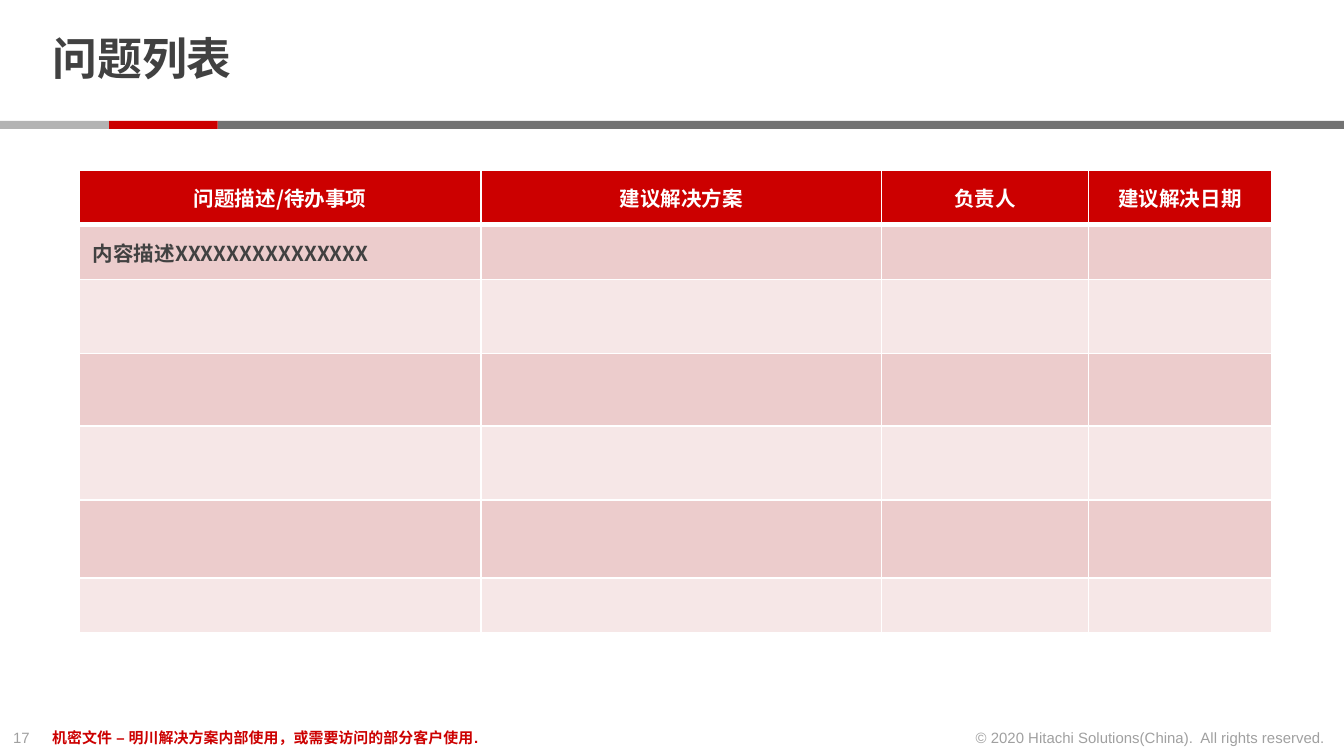
"""Build the issue list slide: title, divider bar, issue table and footer."""
from dataclasses import dataclass

from lxml.etree import SubElement
from pptx import Presentation
from pptx.dml.color import RGBColor
from pptx.enum.shapes import MSO_SHAPE
from pptx.enum.text import MSO_ANCHOR, MSO_AUTO_SIZE, PP_ALIGN
from pptx.oxml.ns import qn
from pptx.util import Inches, Pt

COLORS = {
    "white": "FFFFFF",
    "text": "414141",
    "muted": "A0A0A0",
    "red": "CC0000",
    "dark_gray": "737373",
    "light_gray": "B3B3B3",
    "odd_row": "ECCCCC",
    "even_row": "F6E7E7",
}
CJK_FONT = "Noto Sans CJK SC"
COLUMN_WIDTHS = [2.99, 2.98, 1.54, 1.36]
ROW_HEIGHTS = [0.4, 0.41, 0.55, 0.54, 0.55, 0.58, 0.41]
ISSUES = [
    ["问题描述/待办事项", "建议解决方案", "负责人", "建议解决日期"],
    ["内容描述XXXXXXXXXXXXXXX"],
]


@dataclass
class Band:
    left: float
    width: float
    color: str


@dataclass
class FooterNote:
    text: str
    left: float
    top: float
    width: float
    color: str
    align: PP_ALIGN = PP_ALIGN.LEFT
    bold: bool = False
    wrap: bool = False


BANDS = [
    Band(1.62, 8.38, "dark_gray"),
    Band(0.81, 0.81, "red"),
    Band(0, 0.81, "light_gray"),
]
FOOTER = [
    FooterNote("17", 0, 5.37, 0.34, "muted"),
    FooterNote("© 2020 Hitachi Solutions(China).  All rights reserved.",
               7.12, 5.37, 2.84, "muted", PP_ALIGN.RIGHT),
    FooterNote("机密文件 – 明川解决方案内部使用，或需要访问的部分客户使用.",
               0.29, 5.37, 6.74, "red", bold=True, wrap=True),
]


def rgb(color: str) -> RGBColor:
    """Look up a named colour."""
    return RGBColor.from_string(COLORS[color])


def style(paragraph, size: float, color: str, face: str = CJK_FONT,
          bold: bool = True, align: PP_ALIGN = PP_ALIGN.LEFT) -> None:
    """Format a whole paragraph, with its East Asian font."""
    paragraph.alignment = align
    font = paragraph.font
    font.size, font.bold, font.name = Pt(size), bold, face
    font.color.rgb = rgb(color)
    defaults = paragraph._p.pPr.find(qn("a:defRPr"))
    SubElement(defaults, qn("a:ea"), typeface=face)


def draw_band(slide, band: Band) -> None:
    """Draw one part of the divider bar."""
    bar = slide.shapes.add_shape(MSO_SHAPE.RECTANGLE, Inches(band.left), Inches(0.9),
                                 Inches(band.width), Inches(0.06))
    bar.shadow.inherit = False
    bar.fill.solid()
    bar.fill.fore_color.rgb = rgb(band.color)
    bar.line.fill.background()


def draw_footer_note(slide, note: FooterNote) -> None:
    """Write one footer text."""
    frame = slide.shapes.add_textbox(Inches(note.left), Inches(note.top),
                                     Inches(note.width), Inches(0.24)).text_frame
    frame.word_wrap = note.wrap
    frame.auto_size = MSO_AUTO_SIZE.SHAPE_TO_FIT_TEXT
    frame.text = note.text
    style(frame.paragraphs[0], 8, note.color, "Arial", note.bold, note.align)


def draw_title(slide, text: str) -> None:
    """Place and format the title placeholder."""
    title = slide.shapes.title
    title.left, title.top = Inches(0.29), Inches(0.06)
    title.width, title.height = Inches(7.71), Inches(0.8)
    frame = title.text_frame
    frame.text = text
    frame.auto_size = MSO_AUTO_SIZE.NONE
    frame.vertical_anchor = MSO_ANCHOR.MIDDLE
    frame.margin_top = frame.margin_bottom = 0
    frame.paragraphs[0].line_spacing = 0.85
    style(frame.paragraphs[0], 24, "text")


def draw_cell_borders(cell, top_width: float, bottom_width: float) -> None:
    """Give a cell white borders, placed before its fill."""
    properties = cell._tc.get_or_add_tcPr()
    widths = {"a:lnL": 1, "a:lnR": 1, "a:lnT": top_width, "a:lnB": bottom_width}
    for position, (side, width) in enumerate(widths.items()):
        border = SubElement(properties, qn(side), w=str(Pt(width)))
        fill = SubElement(border, qn("a:solidFill"))
        SubElement(fill, qn("a:srgbClr"), val=COLORS["white"])
        properties.insert(position, border)


def draw_issue_table(slide) -> None:
    """Draw the issue table with its header and alternating rows."""
    table = slide.shapes.add_table(
        len(ROW_HEIGHTS), len(COLUMN_WIDTHS), Inches(0.59), Inches(1.27),
        Inches(sum(COLUMN_WIDTHS)), Inches(sum(ROW_HEIGHTS))).table
    for column, width in zip(table.columns, COLUMN_WIDTHS):
        column.width = Inches(width)
    for row_index, height in enumerate(ROW_HEIGHTS):
        table.rows[row_index].height = Inches(height)
        header = row_index == 0
        band = "red" if header else "odd_row" if row_index % 2 else "even_row"
        texts = ISSUES[row_index] if row_index < len(ISSUES) else []
        for column_index, cell in enumerate(table.rows[row_index].cells):
            cell.fill.solid()
            cell.fill.fore_color.rgb = rgb(band)
            cell.vertical_anchor = MSO_ANCHOR.MIDDLE
            if column_index < len(texts):
                cell.text = texts[column_index]
            style(cell.text_frame.paragraphs[0], 11, "white" if header else "text",
                  align=PP_ALIGN.CENTER if header else PP_ALIGN.LEFT)
            draw_cell_borders(cell, 3 if row_index == 1 else 1, 3 if header else 1)


def main() -> None:
    """Build and save the slide."""
    presentation = Presentation()
    presentation.slide_width = Inches(10)
    presentation.slide_height = Inches(10) * 9 // 16
    slide = presentation.slides.add_slide(presentation.slide_layouts[5])
    for band in BANDS:
        draw_band(slide, band)
    for note in FOOTER:
        draw_footer_note(slide, note)
    draw_title(slide, "问题列表")
    draw_issue_table(slide)
    presentation.save("out.pptx")


if __name__ == "__main__":
    main()
